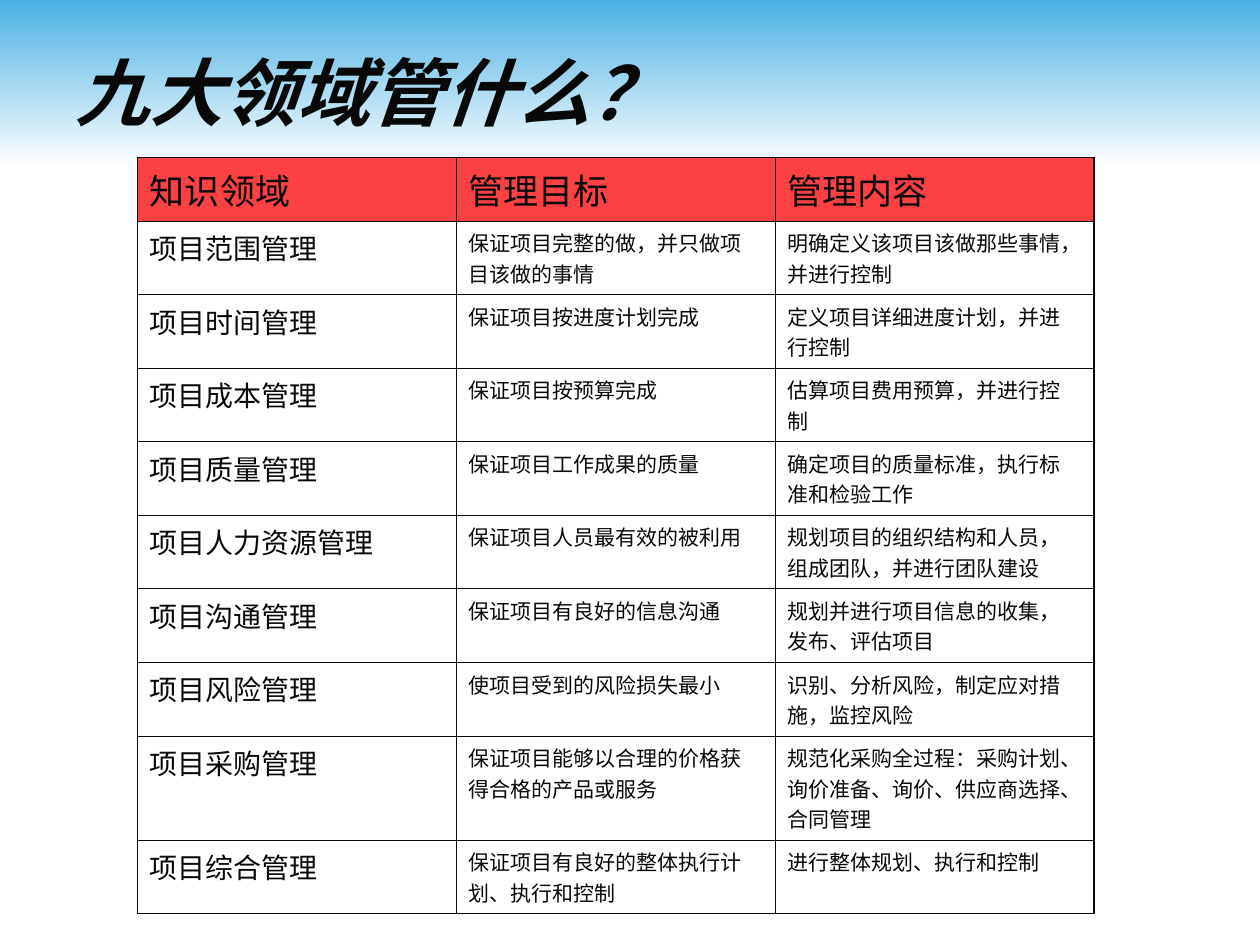
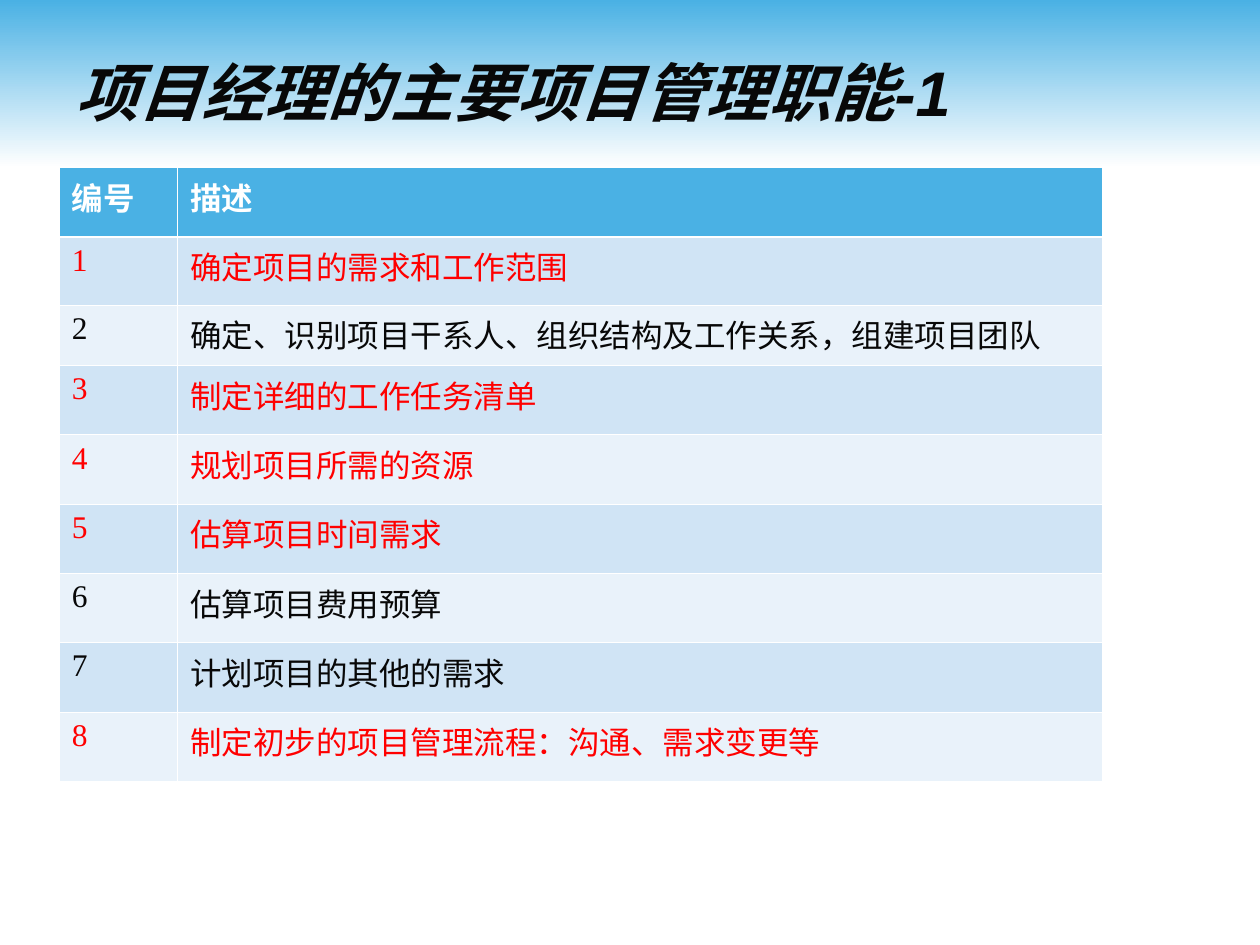
from lxml.etree import SubElement
from pptx import Presentation
from pptx.dml.color import RGBColor
from pptx.enum.shapes import MSO_SHAPE
from pptx.enum.text import MSO_ANCHOR, MSO_AUTO_SIZE, PP_ALIGN
from pptx.oxml.ns import qn
from pptx.util import Inches, Pt

BLUE = RGBColor(0x4A, 0xB1, 0xE4)
PALE_BLUE = RGBColor(0xD0, 0xE4, 0xF5)
PALEST_BLUE = RGBColor(0xE9, 0xF2, 0xFA)
CORAL = RGBColor(0xFC, 0x41, 0x44)
RED = RGBColor(0xFF, 0x00, 0x00)
INK = RGBColor(0x08, 0x08, 0x08)
WHITE = RGBColor(0xFF, 0xFF, 0xFF)

THIN, MEDIUM, THICK = 0.45, 1.08, 1.47

KNOWLEDGE_AREAS = [
    ("知识领域", "管理目标", "管理内容"),
    ("项目范围管理", "保证项目完整的做，并只做项目该做的事情", "明确定义该项目该做那些事情，并进行控制"),
    ("项目时间管理", "保证项目按进度计划完成", "定义项目详细进度计划，并进行控制"),
    ("项目成本管理", "保证项目按预算完成", "估算项目费用预算，并进行控制"),
    ("项目质量管理", "保证项目工作成果的质量", "确定项目的质量标准，执行标准和检验工作"),
    ("项目人力资源管理", "保证项目人员最有效的被利用", "规划项目的组织结构和人员，组成团队，并进行团队建设"),
    ("项目沟通管理", "保证项目有良好的信息沟通", "规划并进行项目信息的收集，发布、评估项目"),
    ("项目风险管理", "使项目受到的风险损失最小", "识别、分析风险，制定应对措施，监控风险"),
    ("项目采购管理", "保证项目能够以合理的价格获得合格的产品或服务",
     "规范化采购全过程：采购计划、询价准备、询价、供应商选择、合同管理"),
    ("项目综合管理", "保证项目有良好的整体执行计划、执行和控制", "进行整体规划、执行和控制"),
]

MANAGER_DUTIES = [
    "确定项目的需求和工作范围",
    "确定、识别项目干系人、组织结构及工作关系，组建项目团队",
    "制定详细的工作任务清单",
    "规划项目所需的资源",
    "估算项目时间需求",
    "估算项目费用预算",
    "计划项目的其他的需求",
    "制定初步的项目管理流程：沟通、需求变更等",
]
KEY_DUTIES = {1, 3, 4, 5, 8}


class Deck:
    def __init__(self):
        self.presentation = Presentation()
        self.presentation.slide_width = Inches(10)
        self.presentation.slide_height = Inches(7.5)
        self.slide = None

    def add_slide(self, title, size):
        self.slide = self.presentation.slides.add_slide(self.presentation.slide_layouts[5])
        if len(self.presentation.slides) == 1:
            self.add_master_band()
        shape = self.slide.shapes.title
        shape.left, shape.top = Inches(0.5), Inches(0.25)
        shape.width, shape.height = Inches(9), Inches(0.95)
        frame = shape.text_frame
        frame.auto_size = MSO_AUTO_SIZE.NONE
        frame.vertical_anchor = MSO_ANCHOR.MIDDLE
        self.add_run(frame, title, "Arial", size, INK, bold=True, italic=True)

    def add_master_band(self):
        """Draw the gradient band and move it to the back of the slide master."""
        band = self.slide.shapes.add_shape(MSO_SHAPE.RECTANGLE, 0, 0, Inches(10), Inches(1.33))
        band.shadow.inherit = False
        band.line.fill.background()
        band.fill.gradient()
        band.fill.gradient_angle = 270
        for stop, color in zip(band.fill.gradient_stops, (BLUE, WHITE)):
            stop.color.rgb = color
        self.presentation.slide_master.shapes[0].element.addprevious(band.element)

    def add_run(self, frame, text, font_name, size, color, bold=False, italic=False):
        paragraph = frame.paragraphs[0]
        paragraph.alignment = PP_ALIGN.LEFT
        run = paragraph.add_run()
        run.text = text
        font = run.font
        font.name, font.size, font.color.rgb = font_name, Pt(size), color
        font.bold, font.italic = bold, italic

    def add_table(self, left, top, widths, heights):
        frame = self.slide.shapes.add_table(
            len(heights), len(widths), Inches(left), Inches(top),
            Inches(sum(widths)), Inches(sum(heights)))
        table = frame.table
        table.first_row = table.horz_banding = False
        for column, width in zip(table.columns, widths):
            column.width = Inches(width)
        for row, height in zip(table.rows, heights):
            row.height = Inches(height)
        return table

    def style_cell(self, cell, fill, border_color, border_widths):
        """Set borders (left, right, top, bottom, in points) and then the fill."""
        properties = cell._tc.get_or_add_tcPr()
        for side, width in zip("LRTB", border_widths):
            line = SubElement(properties, qn(f"a:ln{side}"), w=str(Pt(width)))
            solid = SubElement(line, qn("a:solidFill"))
            SubElement(solid, qn("a:srgbClr"), val=str(border_color))
        if fill is None:
            cell.fill.background()
        else:
            cell.fill.solid()
            cell.fill.fore_color.rgb = fill

    def add_knowledge_table(self):
        heights = [0.44] + [0.5] * 7 + [0.7, 0.5]
        table = self.add_table(1.09, 1.25, [2.53] * 3, heights)
        last_row, last_column = len(heights) - 1, 2
        for row, texts in enumerate(KNOWLEDGE_AREAS):
            for column, text in enumerate(texts):
                cell = table.cell(row, column)
                header = row == 0
                outer = (column == 0, column == last_column, header, row == last_row)
                self.style_cell(cell, CORAL if header else None, INK,
                                [MEDIUM if edge else THIN for edge in outer])
                if header:
                    cell.vertical_anchor = MSO_ANCHOR.MIDDLE
                size = 20 if header else 16 if column == 0 else 12
                self.add_run(cell.text_frame, text, "Arial", size, INK)

    def add_duty_table(self):
        rows = [("编号", "描述")]
        rows += [(str(number), duty) for number, duty in enumerate(MANAGER_DUTIES, 1)]
        table = self.add_table(0.47, 1.33, [0.94, 7.34], [0.55, 0.54, 0.48] + [0.55] * 6)
        for row, texts in enumerate(rows):
            header = row == 0
            fill = BLUE if header else PALE_BLUE if row % 2 else PALEST_BLUE
            color = WHITE if header else RED if row in KEY_DUTIES else INK
            borders = [THIN, THIN, THICK if row == 1 else THIN, THICK if header else THIN]
            for column, text in enumerate(texts):
                cell = table.cell(row, column)
                self.style_cell(cell, fill, WHITE, borders)
                self.add_run(cell.text_frame, text, "Times New Roman", 18, color, bold=header)


def main():
    deck = Deck()
    deck.add_slide("九大领域管什么？", 42)
    deck.add_knowledge_table()
    deck.add_slide("项目经理的主要项目管理职能-1", 36)
    deck.add_duty_table()
    deck.presentation.save("out.pptx")


if __name__ == "__main__":
    main()
